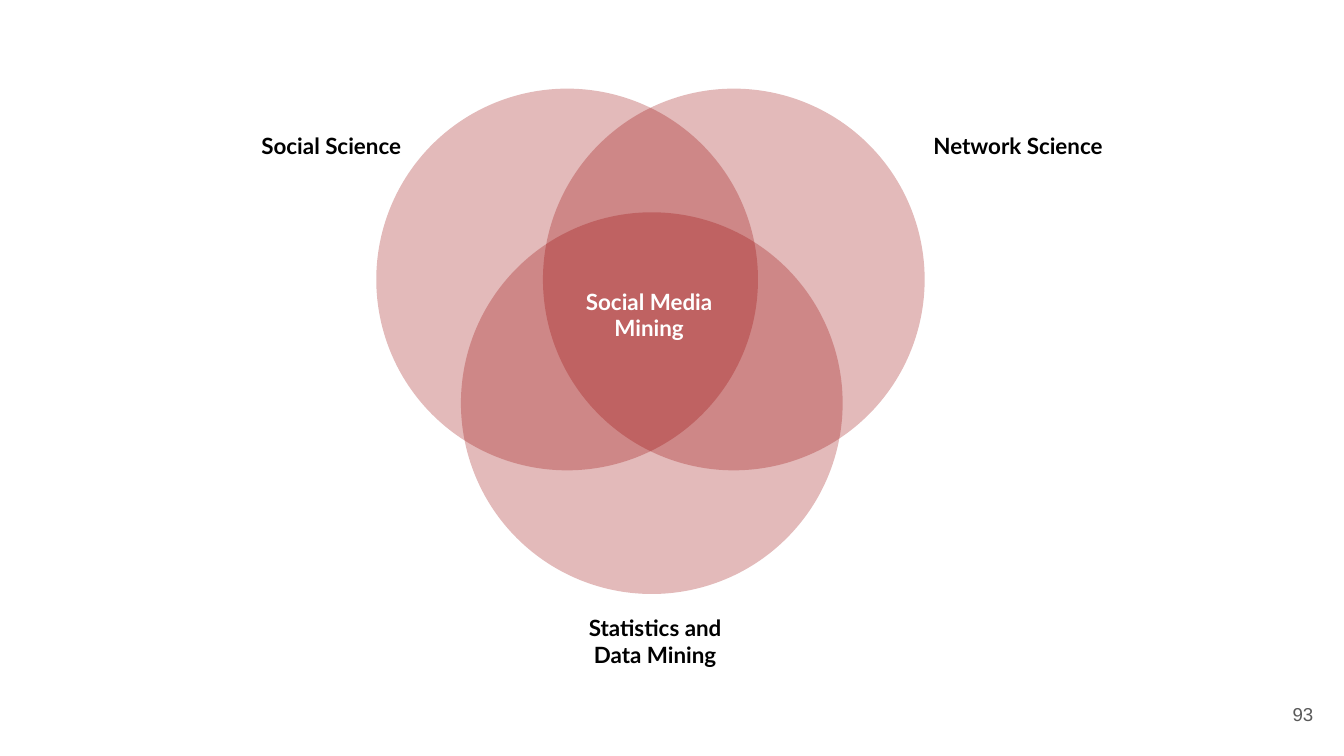
import pptx
import pptx.dml.color
import pptx.enum.shapes
import pptx.enum.text
import pptx.oxml.ns
import pptx.util
from lxml import etree

Inches = pptx.util.Inches
ALIGN = pptx.enum.text.PP_ALIGN
SLIDE_WIDTH = 10
DIAMETER = 2.84


def color(hex_string):
    return pptx.dml.color.RGBColor.from_string(hex_string)


def add_circle(slide, left, top):
    shape = slide.shapes.add_shape(
        pptx.enum.shapes.MSO_SHAPE.OVAL,
        Inches(left), Inches(top), Inches(DIAMETER), Inches(DIAMETER))
    shape.shadow.inherit = False
    shape.line.fill.background()
    shape.fill.solid()
    shape.fill.fore_color.rgb = color("980000")
    fill_color = shape._element.spPr.find(".//" + pptx.oxml.ns.qn("a:srgbClr"))
    etree.SubElement(fill_color, pptx.oxml.ns.qn("a:alpha"), val="27000")


def add_label(slide, text, left, top, width, height, text_color="000000",
              font_name="Lato", size=12, bold=True, alignment=ALIGN.CENTER):
    shape = slide.shapes.add_textbox(
        Inches(left), Inches(top), Inches(width), Inches(height))
    frame = shape.text_frame
    frame.word_wrap = True
    frame.vertical_anchor = pptx.enum.text.MSO_ANCHOR.MIDDLE
    frame.margin_left = frame.margin_right = Inches(0.1)
    frame.margin_top = frame.margin_bottom = Inches(0.1)
    paragraph = frame.paragraphs[0]
    paragraph.text = text
    paragraph.alignment = alignment
    paragraph.font.name = font_name
    paragraph.font.size = pptx.util.Pt(size)
    paragraph.font.bold = bold
    paragraph.font.color.rgb = color(text_color)


def main():
    presentation = pptx.Presentation()
    presentation.slide_width = Inches(SLIDE_WIDTH)
    presentation.slide_height = Inches(SLIDE_WIDTH * 9 / 16)
    slide = presentation.slides.add_slide(presentation.slide_layouts[6])

    for left, top in [(2.8, 0.66), (4.04, 0.66), (3.43, 1.58)]:
        add_circle(slide, left, top)

    add_label(slide, "Social Science", 1.79, 0.9, 1.35, 0.36)
    add_label(slide, "Network Science", 6.62, 0.9, 1.91, 0.36)
    add_label(slide, "Statistics and Data Mining", 4.12, 4.59, 1.51, 0.36)
    add_label(slide, "Social Media Mining", 4.19, 2.1, 1.28, 0.48, "FFFFFF")
    add_label(slide, "93", 9.27, 5.1, 0.6, 0.43, "595959",
              font_name="Arial", size=10, bold=False, alignment=ALIGN.RIGHT)

    presentation.save("out.pptx")


if __name__ == "__main__":
    main()
